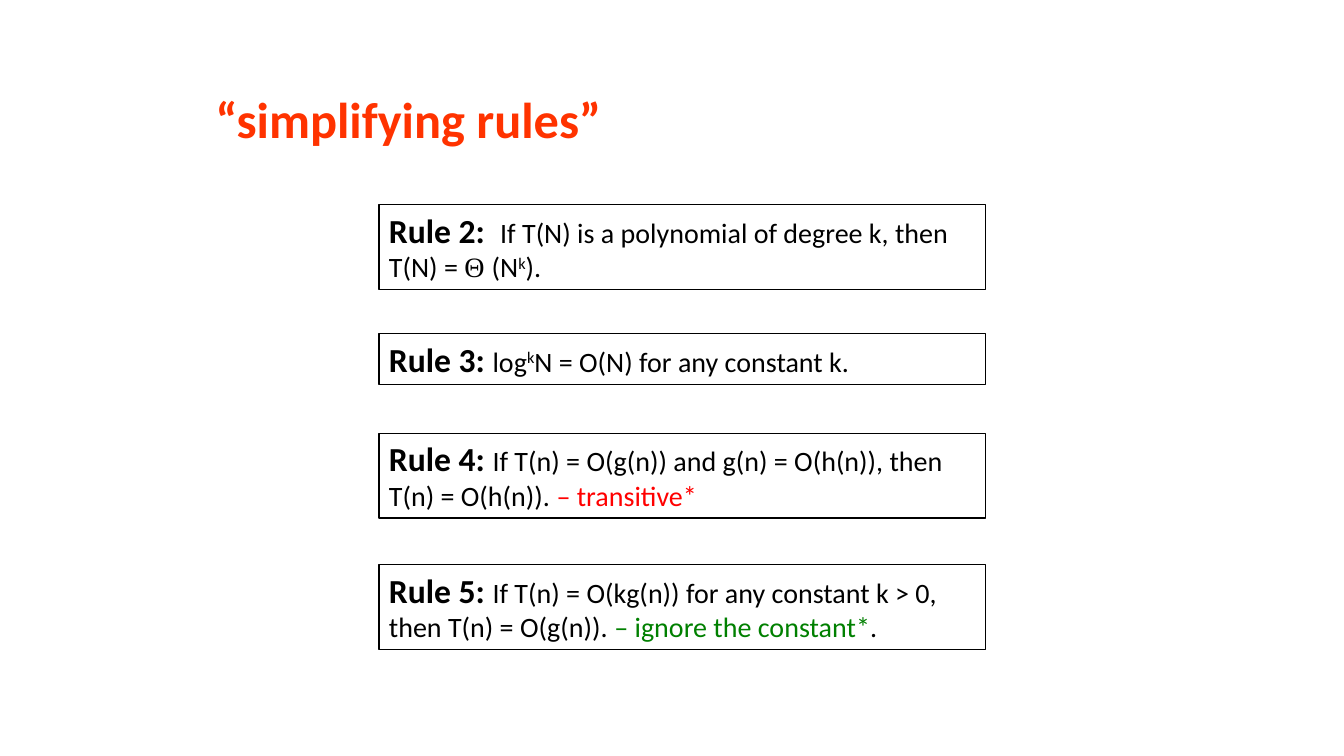
from pptx import Presentation
from pptx.dml.color import RGBColor
from pptx.enum.shapes import MSO_SHAPE as Shape
from pptx.enum.text import MSO_ANCHOR as Anchor, MSO_AUTO_SIZE as AutoSize, PP_ALIGN as Align
from pptx.util import Inches, Pt

BLACK = RGBColor(0, 0, 0)
ORANGE = RGBColor(0xFF, 0x33, 0x00)
RED = RGBColor(0xFF, 0, 0)
GREEN = RGBColor(0, 0x80, 0)

TITLE = {"size": Pt(36), "bold": True, "color": ORANGE}
LABEL = {"size": Pt(24), "bold": True}
BODY = {"size": Pt(20), "bold": False}
SYMBOL = {**BODY, "name": "Times New Roman"}
POWER = {**BODY, "baseline": 30000}
ASIDE_RED = {**BODY, "color": RED}
ASIDE_GREEN = {**BODY, "color": GREEN}

RULE_LEFT, RULE_WIDTH = 28.2, 45.15
ONE_LINE, TWO_LINES = 6.67, 11.2

RULES = [
    (27.07, TWO_LINES, [
        ("Rule 2:  ", LABEL),
        ("If T(N) is a polynomial of degree k, then T(N) = ", BODY),
        ("Θ ", SYMBOL), ("(N", BODY), ("k", POWER), (").", BODY)]),
    (44.13, ONE_LINE, [
        ("Rule 3: ", LABEL), ("log", BODY), ("k", POWER),
        ("N = O(N) for any constant k.", BODY)]),
    (57.33, TWO_LINES, [
        ("Rule 4: ", LABEL),
        ("If T(n) = O(g(n)) and g(n) = O(h(n)), then T(n) = O(h(n)). ", BODY),
        ("– transitive*", ASIDE_RED)]),
    (74.67, TWO_LINES, [
        ("Rule 5: ", LABEL),
        ("If T(n) = O(kg(n)) for any constant k > 0, then T(n) = O(g(n)). ", BODY),
        ("– ignore the constant*", ASIDE_GREEN), (".", BODY)]),
]


class RulePage:
    font = {"name": "Calibri", "color": BLACK}
    frame = {"word_wrap": True, "auto_size": AutoSize.NONE, "vertical_anchor": Anchor.TOP}

    def __init__(self, deck):
        self.deck = deck
        self.page = deck.slides.add_slide(deck.slide_layouts[5])

    def place(self, left, top, width, height):
        across, down = self.deck.slide_width, self.deck.slide_height
        shares = zip((left, top, width, height), (across, down, across, down))
        return [round(share / 100 * side) for share, side in shares]

    def add_text(self, box, pieces):
        for name, value in self.frame.items():
            setattr(box.text_frame, name, value)
        para = box.text_frame.paragraphs[0]
        para.alignment = Align.LEFT
        para.line_spacing = 1.0
        for text, style in pieces:
            span = para.add_run()
            span.text = text
            for name, value in {**self.font, **style}.items():
                if name == "color":
                    span.font.color.rgb = value
                elif name == "baseline":
                    span._r.get_or_add_rPr().set("baseline", str(value))
                else:
                    setattr(span.font, name, value)

    def title(self, text, *area):
        box = self.page.shapes.title
        for name, value in zip(("left", "top", "width", "height"), self.place(*area)):
            setattr(box, name, value)
        self.add_text(box, [(text, TITLE)])

    def rule(self, top, height, pieces):
        area = self.place(RULE_LEFT, top, RULE_WIDTH, height)
        box = self.page.shapes.add_shape(Shape.RECTANGLE, *area)
        box.shadow.inherit = False
        box.fill.background()
        box.line.color.rgb = BLACK
        box.line.width = Pt(0.75)
        self.add_text(box, pieces)


def main():
    deck = Presentation()
    deck.slide_width, deck.slide_height = Inches(13.33), Inches(7.5)
    page = RulePage(deck)
    page.title("“simplifying rules”", 15.3, 10.93, 34.13, 9.47)
    for rule in RULES:
        page.rule(*rule)
    deck.save("out.pptx")


if __name__ == "__main__":
    main()
